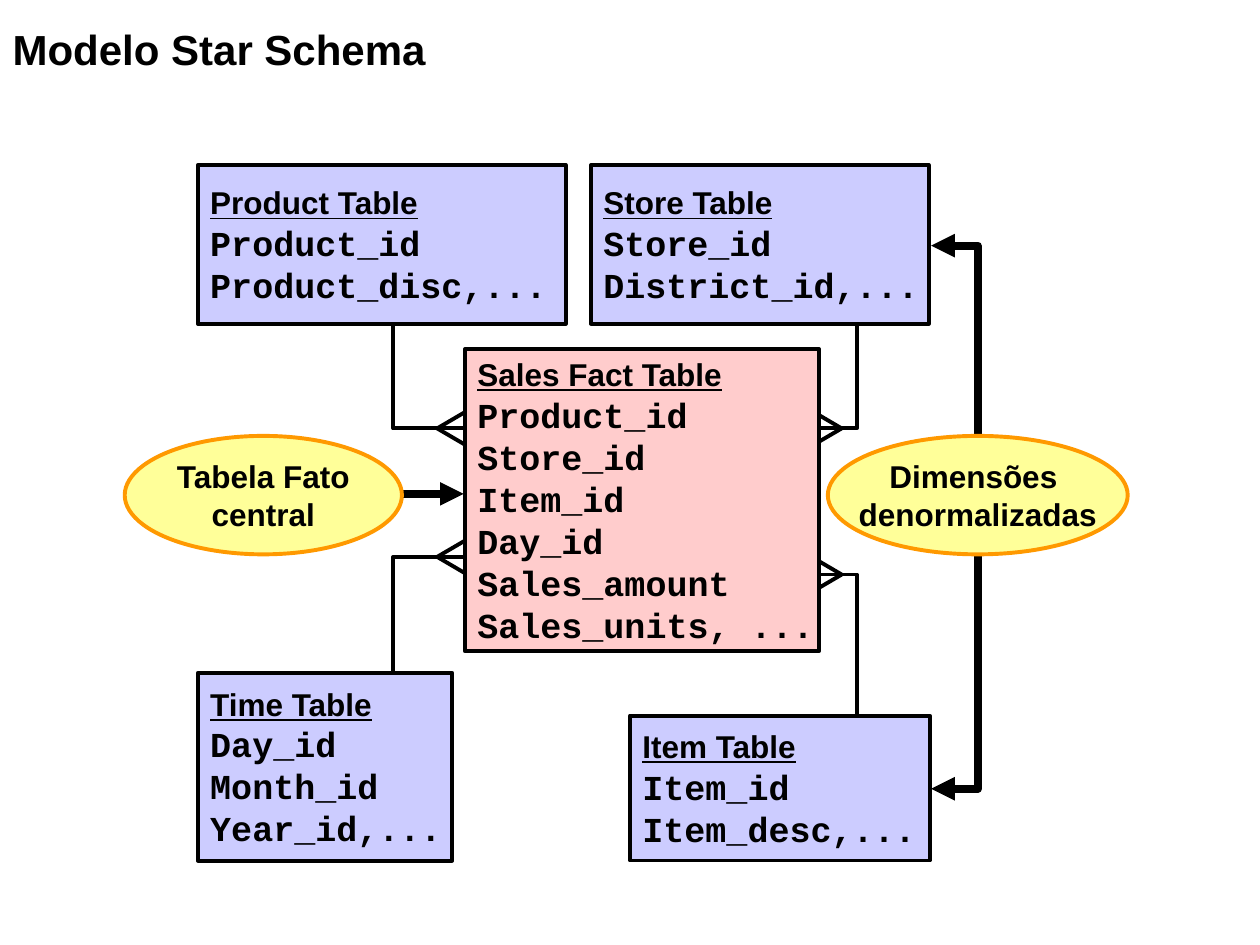
from lxml import etree
from pptx import Presentation
from pptx import util as u
from pptx.dml.color import RGBColor
from pptx.enum import shapes, text
from pptx.oxml.ns import qn

THEME = {
    "ink": "000000", "dimension": "CCCCFF", "fact": "FFCCCC",
    "callout": "FFFF99", "callout_line": "FF9900",
    "heading_font": "Arial", "field_font": "Courier New",
    "title_size": 24, "heading_size": 18, "field_size": 20,
    "thin": 2.25, "thick": 4.5,
}
TITLE = "Modelo Star Schema"
TABLES = [
    ("Product Table", ["Product_id", "Product_disc,..."], "dimension", (1.57, 1.31, 2.92, 1.26)),
    ("Time Table", ["Day_id", "Month_id", "Year_id,..."], "dimension", (1.57, 5.34, 2.02, 1.49)),
    ("Sales Fact Table",
     ["Product_id", "Store_id", "Item_id", "Day_id", "Sales_amount", "Sales_units, ..."],
     "fact", (3.69, 2.77, 2.81, 2.4)),
    ("Item Table", ["Item_id", "Item_desc,..."], "dimension", (5, 5.68, 2.38, 1.15)),
    ("Store Table", ["Store_id", "District_id,..."], "dimension", (4.69, 1.31, 2.68, 1.26)),
]
CALLOUTS = [
    (["Tabela Fato", "central"], (0.99, 3.46, 2.2, 0.94)),
    (["Dimensões ", "denormalizadas"], (6.57, 3.46, 2.38, 0.94)),
]
RELATIONS = [
    (3.12, 2.48, 3.4, 3.88, 3.47),
    (3.12, 5.34, 4.42, 3.88, 3.47),
    (6.8, 2.48, 3.4, 6.22, 6.68),
    (6.8, 5.73, 4.56, 6.22, 6.68),
]
FOOT_LENGTH, FOOT_SPREAD = 0.29, 0.17
DIMENSION_ARROWS = [(7.76, 3.78, 1.95, 7.39), (7.76, 4.22, 6.26, 7.39)]
FACT_ARROW = (2.51, 3.92, 3.68, 3.92)

presentation = Presentation()
presentation.slide_width, presentation.slide_height = u.Inches(10), u.Inches(7.5)
slide = presentation.slides.add_slide(presentation.slide_layouts[5])


def color(name):
    return RGBColor.from_string(THEME[name])


def inches(values):
    return [u.Inches(value) for value in values]


def style_line(shape, line_color="ink", weight="thin", arrow=False):
    shape.line.color.rgb = color(line_color)
    shape.line.width = u.Pt(THEME[weight])
    if arrow:
        etree.SubElement(shape.line._get_or_add_ln(), qn("a:tailEnd"), type="triangle")


def add_line(start_x, start_y, end_x, end_y, **style):
    line = slide.shapes.add_connector(
        shapes.MSO_CONNECTOR.STRAIGHT, *inches((start_x, start_y, end_x, end_y)))
    etree.SubElement(line._element.spPr, qn("a:effectLst"))
    style_line(line, **style)


def add_elbow(x, start_y, end_y, end_x, **style):
    builder = slide.shapes.build_freeform(u.Inches(x), u.Inches(start_y))
    builder.add_line_segments(
        [inches(point) for point in ((x, end_y), (end_x, end_y))], close=False)
    elbow = builder.convert_to_shape()
    elbow.shadow.inherit = False
    elbow.fill.background()
    style_line(elbow, **style)


def write(shape, lines, align, wrap=False):
    frame = shape.text_frame
    settings = {"word_wrap": wrap, "vertical_anchor": text.MSO_ANCHOR.MIDDLE,
                "auto_size": text.MSO_AUTO_SIZE.NONE}
    for name, value in settings.items():
        setattr(frame, name, value)
    for index, (words, font, size, underline) in enumerate(lines):
        paragraph = frame.add_paragraph() if index else frame.paragraphs[0]
        paragraph.alignment = align
        run = paragraph.add_run()
        run.text = words
        values = {"name": THEME[font], "size": u.Pt(THEME[size]),
                  "bold": True, "underline": underline}
        for name, value in values.items():
            setattr(run.font, name, value)
        run.font.color.rgb = color("ink")


def add_box(kind, place, fill, line_color, lines, align):
    box = slide.shapes.add_shape(kind, *inches(place))
    box.shadow.inherit = False
    box.fill.solid()
    box.fill.fore_color.rgb = color(fill)
    style_line(box, line_color)
    write(box, lines, align)


title = slide.shapes.title
for name, value in zip(("left", "top", "width", "height"), inches((0, 0.13, 9, 0.51))):
    setattr(title, name, value)
write(title, [(TITLE, "heading_font", "title_size", False)], text.PP_ALIGN.LEFT, wrap=True)

for x, start_y, end_y, end_x, apex in RELATIONS:
    toe = apex + (FOOT_LENGTH if end_x > x else -FOOT_LENGTH)
    for spread in (FOOT_SPREAD, -FOOT_SPREAD):
        add_line(apex, end_y, toe, end_y + spread)
add_line(*FACT_ARROW, weight="thick", arrow=True)
for x, start_y, end_y, end_x, apex in RELATIONS:
    add_elbow(x, start_y, end_y, end_x)
for arrow in DIMENSION_ARROWS:
    add_elbow(*arrow, weight="thick", arrow=True)

for heading, fields, fill, place in TABLES:
    lines = [(heading, "heading_font", "heading_size", True)]
    lines += [(field, "field_font", "field_size", False) for field in fields]
    add_box(shapes.MSO_SHAPE.RECTANGLE, place, fill, "ink", lines, text.PP_ALIGN.LEFT)
for words, place in CALLOUTS:
    lines = [(line, "heading_font", "heading_size", False) for line in words]
    add_box(shapes.MSO_SHAPE.OVAL, place, "callout", "callout_line", lines, text.PP_ALIGN.CENTER)

presentation.save("out.pptx")
